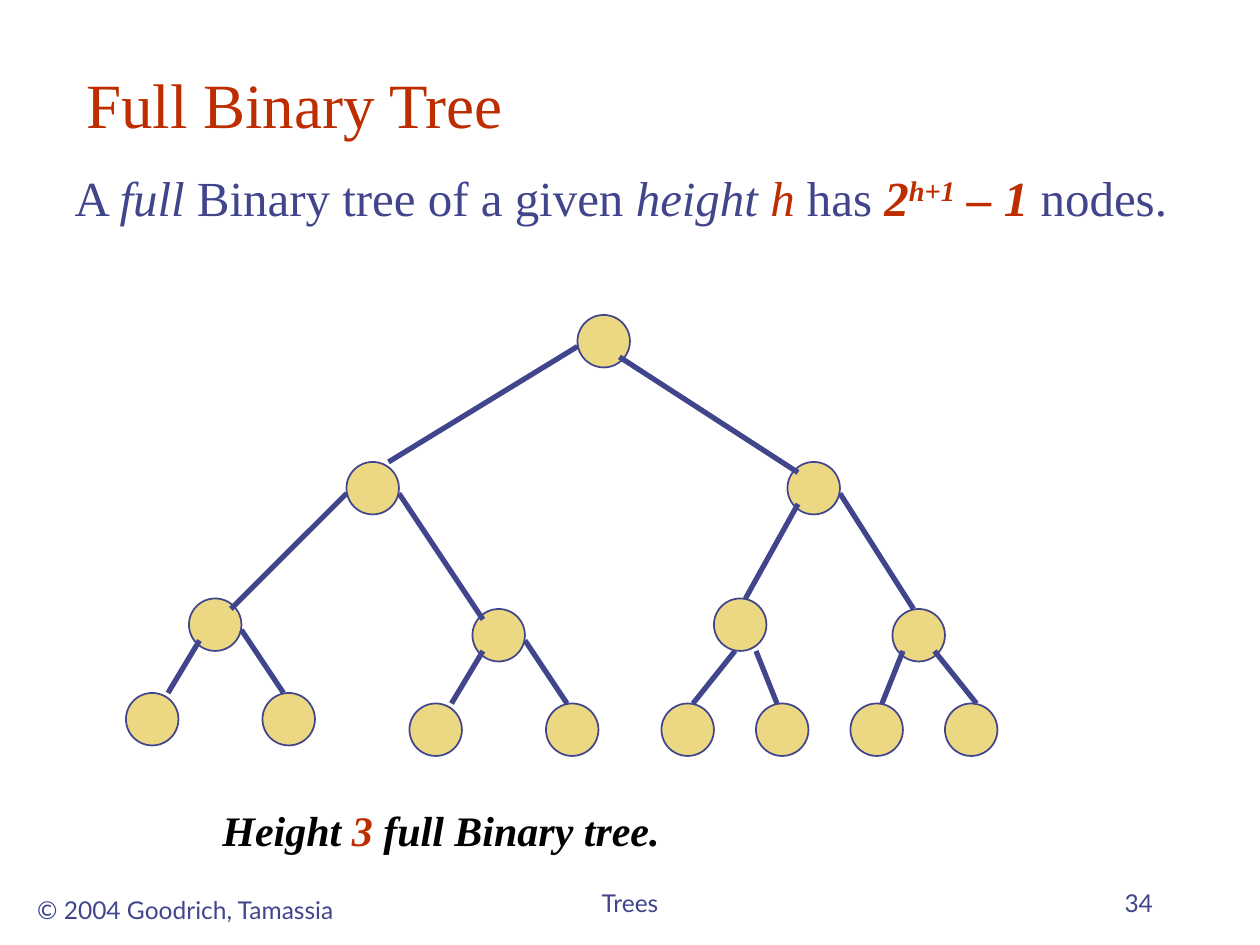
from pptx import Presentation
from pptx.dml.color import RGBColor
from pptx.enum.shapes import MSO_CONNECTOR as Connector, MSO_SHAPE as Shape
from pptx.enum.text import MSO_ANCHOR as Anchor, MSO_AUTO_SIZE as AutoSize, PP_ALIGN as Align
from pptx.oxml.ns import qn
from pptx.util import Pt
from lxml.etree import SubElement

COLORS = {"blue": "40458C", "red": "BE2D00", "gold": "ECD882", "black": "000000"}
SERIF, SANS = "Times New Roman", "Lato"
GRID = 6
NODE_SIZE = 5 * GRID


def color(name):
    """Return the named colour of the palette."""
    return RGBColor.from_string(COLORS[name])


def write_text(box, spans, at, size, font=SERIF, tint="blue", align=Align.LEFT,
               anchor=Anchor.TOP, wrap=True, before=0, spacing=1.0):
    """Place a box and fill it with (text, format) spans in one paragraph."""
    box.left, box.top, box.width, box.height = map(Pt, at)
    frame = box.text_frame
    frame.auto_size, frame.word_wrap = AutoSize.NONE, wrap
    frame.vertical_anchor = anchor
    para = frame.paragraphs[0]
    para.alignment, para.line_spacing = align, spacing
    para.space_before = Pt(before)
    for text, look in spans:
        span = para.add_run()
        span.text = text
        span.font.size, span.font.name = Pt(size), font
        span.font.bold = look.get("bold", False)
        span.font.italic = look.get("italic", False)
        span.font.color.rgb = color(look.get("tint", tint))
        if "baseline" in look:
            span._r.get_or_add_rPr().set("baseline", look["baseline"])
    return para


deck = Presentation()
deck.slide_width, deck.slide_height = Pt(720), Pt(540)
page = deck.slides.add_slide(deck.slide_layouts[1])
title, body = page.placeholders

# Footer
footers = [
    ("© 2004 Goodrich, Tamassia", (12, 508, 188, 24), Align.CENTER, Anchor.TOP, False),
    ("Trees", (246, 492, 228, 36), Align.CENTER, Anchor.BOTTOM, True),
    ("34", (516, 492, 150, 36), Align.RIGHT, Anchor.BOTTOM, True),
]
for text, at, align, anchor, wrap in footers:
    box = page.shapes.add_textbox(0, 0, 0, 0)
    write_text(box, [(text, {})], at, 14, font=SANS, align=align, anchor=anchor, wrap=wrap)

# Title and statement
write_text(title, [("Full Binary Tree", {})], (42, 30, 612, 54), 36,
           tint="red", anchor=Anchor.BOTTOM)

italic = {"italic": True}
formula = {"tint": "red", "bold": True, "italic": True}
statement = write_text(body, [
    (" A ", {}),
    ("full", italic),
    (" Binary tree of a given ", {}),
    ("height ", italic),
    ("h", {"tint": "red", "italic": True}),
    (" has ", {}),
    ("2", formula),
    ("h+1", {**formula, "baseline": "30000"}),
    (" – 1 ", formula),
    ("nodes.", {}),
], (30, 96, 654, 60), 28, before=5.6, spacing=0.9)
indents = statement._p.get_or_add_pPr()
indents.set("marL", str(Pt(6.5)))
indents.set("indent", str(-Pt(6.5)))
SubElement(indents, qn("a:buNone"))

# Tree: corners of nodes and ends of edges in grid units
levels = [
    [(55, 30)],
    [(33, 44), (75, 44)],
    [(18, 57), (45, 58), (68, 57), (85, 58)],
    [(12, 66), (25, 66), (39, 67), (52, 67), (63, 67), (72, 67), (81, 67), (90, 67)],
]
edges = [
    (55, 33, 37, 44), (59, 34, 76, 45),
    (33, 47, 22, 58), (38, 47, 46, 59), (76, 48, 71, 57), (80, 47, 87, 58),
    (19, 61, 16, 66), (23, 60, 27, 66), (46, 62, 43, 67), (50, 61, 54, 67),
    (70, 62, 66, 67), (72, 62, 74, 67), (86, 62, 84, 67), (89, 62, 93, 67),
]
tree = page.shapes.add_group_shape().shapes
for level in levels:
    for column, row in level:
        node = tree.add_shape(Shape.OVAL, Pt(column * GRID), Pt(row * GRID),
                              Pt(NODE_SIZE), Pt(NODE_SIZE))
        node.shadow.inherit = False
        node.fill.solid()
        node.fill.fore_color.rgb = color("gold")
        node.line.color.rgb = color("blue")
        node.line.width = Pt(1)
for ends in edges:
    edge = tree.add_connector(Connector.STRAIGHT, *[Pt(end * GRID) for end in ends])
    edge.line.color.rgb = color("blue")
    edge.line.width = Pt(3)
    SubElement(edge._element.spPr, qn("a:effectLst"))

# Caption
strong = {"bold": True, "italic": True}
caption = page.shapes.add_textbox(0, 0, 0, 0)
write_text(caption, [("Height ", strong), ("3", formula), (" full Binary tree.", strong)],
           (120, 456, 516, 36), 24, tint="black", before=12)

deck.save("out.pptx")
